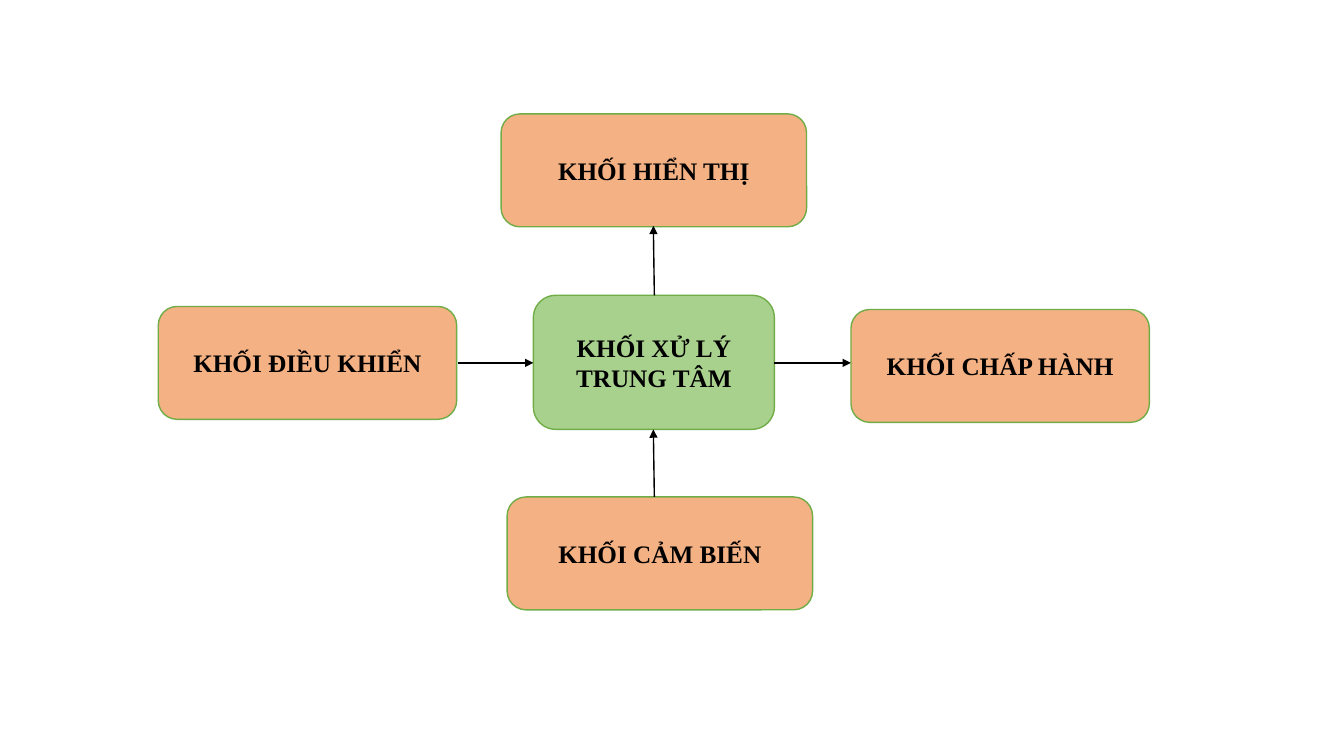
from lxml import etree
from pptx import Presentation
from pptx import util as u
from pptx.dml.color import RGBColor
from pptx.enum import shapes, text
from pptx.oxml.ns import qn

PX = 9144
COLORS = {
    "center": "A9D18E",
    "block": "F4B183",
    "border": "70AD47",
    "ink": "000000",
}
BLOCKS = [
    ("KHỐI XỬ LÝ TRUNG TÂM", "center", 529, 293, 239, 133),
    ("KHỐI HIỂN THỊ", "block", 497, 113, 303, 112),
    ("KHỐI ĐIỀU KHIỂN", "block", 157, 304, 296, 112),
    ("KHỐI CẢM BIẾN", "block", 503, 493, 303, 112),
    ("KHỐI CHẤP HÀNH", "block", 844, 307, 296, 112),
]
ARROWS = [
    (454, 360, 529, 360),
    (768, 360, 844, 360),
    (649, 293, 648, 224),
    (649, 493, 648, 426),
]


def color(name):
    return RGBColor.from_string(COLORS[name])


deck = Presentation()
deck.slide_width = u.Inches(13.33)
deck.slide_height = u.Inches(7.5)
page = deck.slides.add_slide(deck.slide_layouts[6])

for label, fill, *bounds in BLOCKS:
    box = page.shapes.add_shape(
        shapes.MSO_SHAPE.ROUNDED_RECTANGLE, *(value * PX for value in bounds)
    )
    box.shadow.inherit = False
    box.fill.solid()
    box.fill.fore_color.rgb = color(fill)
    box.line.color.rgb = color("border")
    box.line.width = u.Pt(1)
    frame = box.text_frame
    frame.word_wrap = True
    frame.vertical_anchor = text.MSO_ANCHOR.MIDDLE
    para = frame.paragraphs[0]
    para.alignment = text.PP_ALIGN.CENTER
    span = para.add_run()
    span.text = label
    span.font.name = "Times New Roman"
    span.font.size = u.Pt(18)
    span.font.bold = True
    span.font.color.rgb = color("ink")

for ends in ARROWS:
    arrow = page.shapes.add_connector(
        shapes.MSO_CONNECTOR.STRAIGHT, *(value * PX for value in ends)
    )
    arrow.line.color.rgb = color("ink")
    arrow.line.width = u.Pt(1)
    outline = arrow.line._get_or_add_ln()
    etree.SubElement(outline, qn("a:tailEnd"), type="triangle")
    etree.SubElement(arrow._element.spPr, qn("a:effectLst"))

deck.save("out.pptx")
